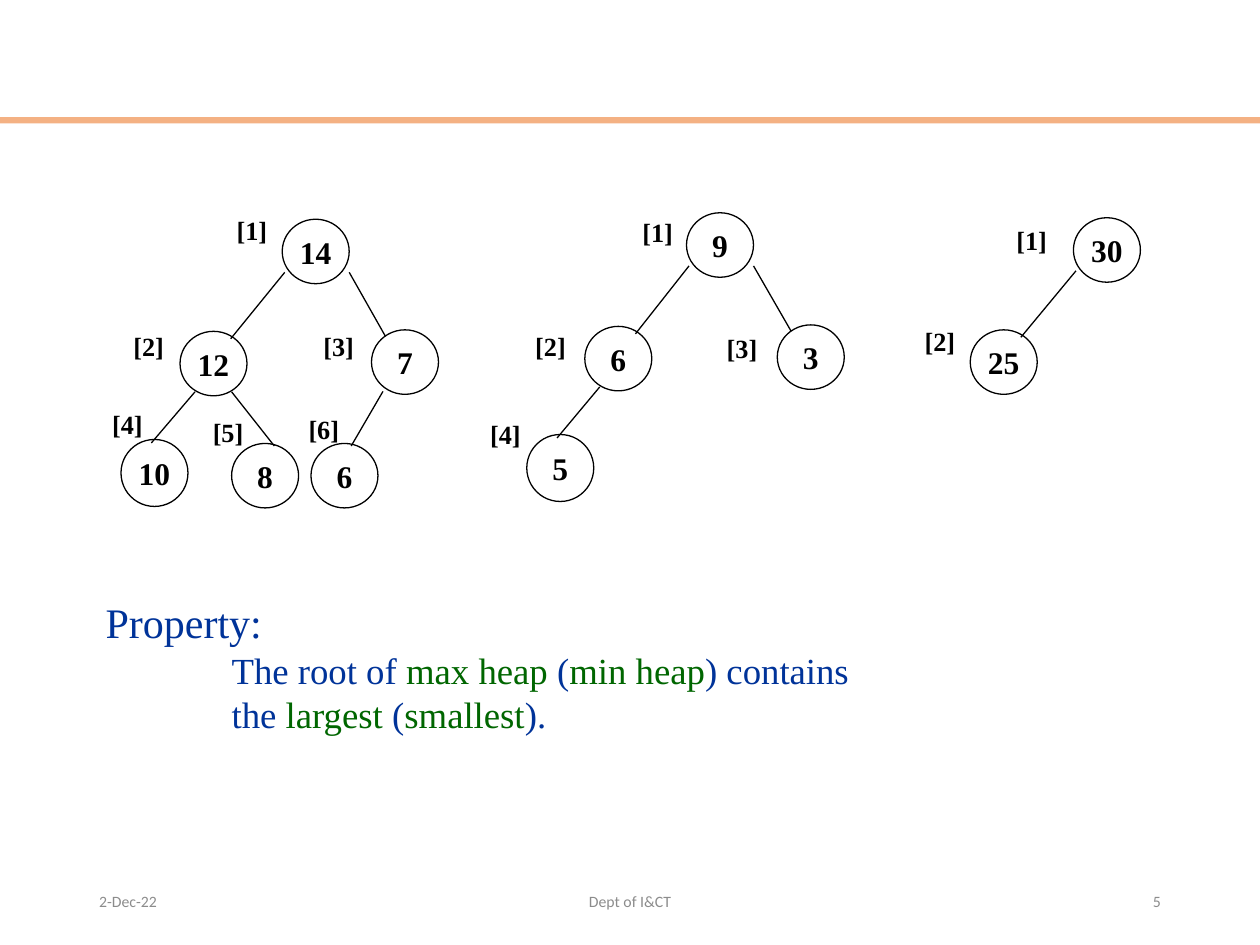
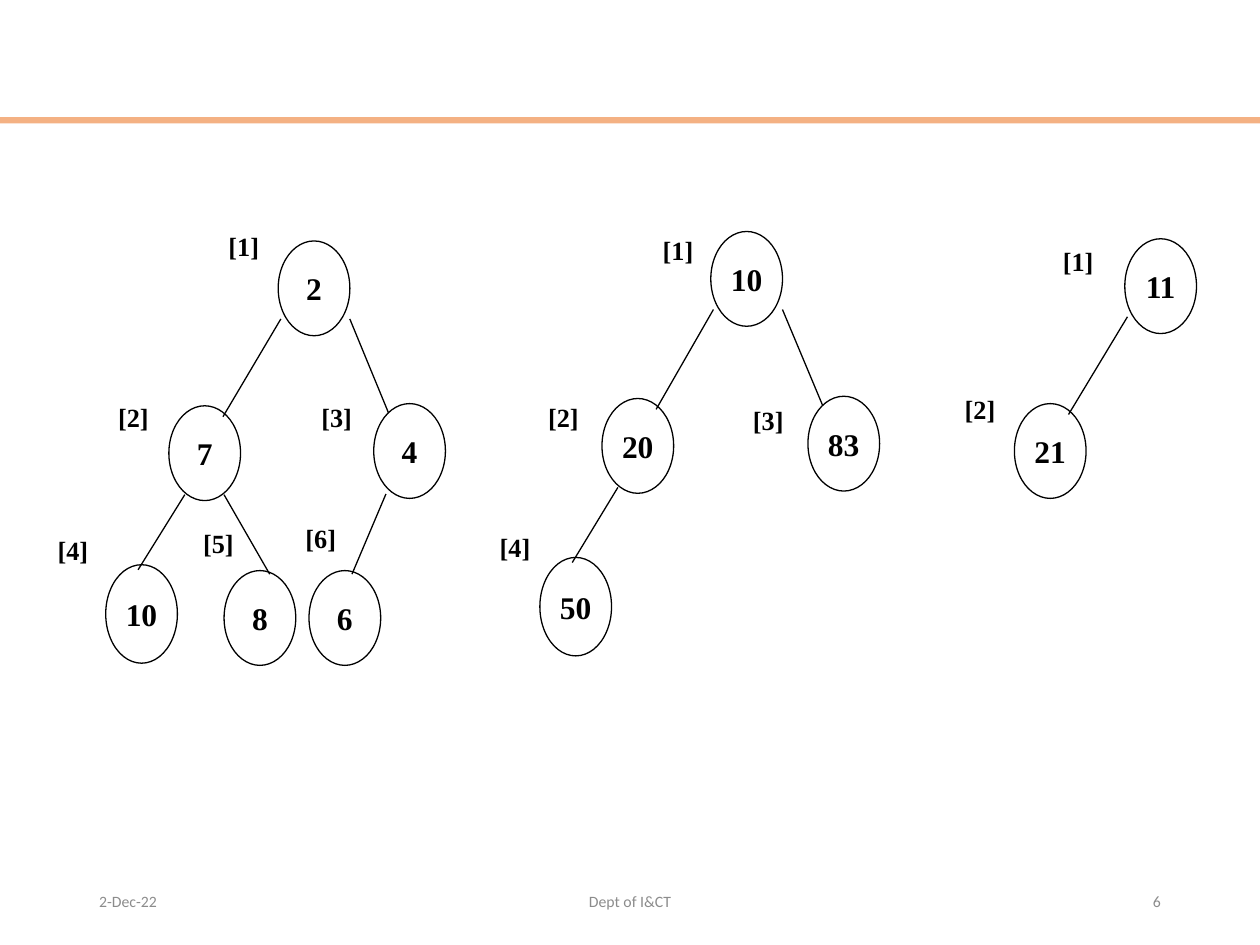
from dataclasses import dataclass
from typing import NamedTuple, Optional

from lxml.etree import SubElement
from pptx import Presentation
from pptx.dml.color import RGBColor as Rgb
from pptx.enum.shapes import MSO_CONNECTOR as Wire, MSO_SHAPE as Kind
from pptx.enum.text import MSO_ANCHOR as Anchor, PP_ALIGN as Align
from pptx.oxml.ns import qn
from pptx.util import Cm, Pt


# Colours, fonts and sizes
@dataclass(frozen=True)
class Theme:
    band: str = "F4B183"
    ink: str = "000000"
    blue: str = "003399"
    green: str = "006600"
    grey: str = "8C8C8C"
    serif: str = "Times New Roman"
    sans: str = "Calibri"
    head: float = 24
    body: float = 21
    key: float = 18
    tag: float = 15
    foot: float = 9
    line: float = 0.75


THEME = Theme()


# Edge ends in cm, measured from the corners of the parent and child nodes
class Link(NamedTuple):
    start: tuple[float, float]
    end: tuple[float, float]


LEFT = Link((0.05, 1.07), (1.02, 0.15))
RIGHT = Link((1.35, 1.07), (0.28, 0.13))
LOW_LEFT = Link((0.3, 1.22), (0.61, 0.07))
LOW_RIGHT = Link((1.04, 1.22), (0.86, 0.05))
INNER = Link((0.23, 1.24), (0.81, 0.05))


# A heap node and the label with its array index, on the base grid in cm
class Node(NamedTuple):
    x: float
    y: float
    index: int
    tag_x: float
    tag_y: float
    link: Optional[Link] = None
    high: float = 1.3


NODE_W = 1.35
TAG_W, TAG_H = 1.55, 1.14
HEAPS = (
    (
        Node(5.69, 4.42, 1, 4.52, 4.19),
        Node(3.63, 6.68, 2, 2.44, 6.53, LEFT),
        Node(7.49, 6.65, 3, 6.27, 6.53, RIGHT),
        Node(2.44, 8.86, 4, 2.01, 8.1, LOW_LEFT, 1.35),
        Node(4.67, 8.94, 5, 4.04, 8.26, LOW_RIGHT),
        Node(6.27, 8.94, 6, 5.97, 8.2, INNER),
    ),
    (
        Node(13.84, 4.29, 1, 12.7, 4.24),
        Node(11.79, 6.58, 2, 10.54, 6.53, LEFT),
        Node(15.67, 6.55, 3, 14.4, 6.58, RIGHT),
        Node(10.62, 8.76, 4, 9.63, 8.31, LOW_LEFT, 1.35),
    ),
    (
        Node(21.64, 4.39, 1, 20.24, 4.39),
        Node(19.56, 6.65, 2, 18.39, 6.43, LEFT),
    ),
)


# One slide: its keys, and how the base grid is stretched and moved
@dataclass(frozen=True)
class View:
    page: int
    keys: tuple[tuple[int, ...], ...]
    zoom: tuple[float, float] = (1, 1)
    move: tuple[float, float] = (0, 0)
    low_tag: Optional[tuple[float, float]] = None  # place of the first heap's [4]

    def size(self, w: float, h: float) -> tuple[Cm, Cm]:
        return Cm(w * self.zoom[0]), Cm(h * self.zoom[1])

    def spot(self, x: float, y: float) -> tuple[Cm, Cm]:
        return (Cm(x * self.zoom[0] + self.move[0]),
                Cm(y * self.zoom[1] + self.move[1]))


VIEWS = (
    View(5, ((14, 12, 7, 10, 8, 6), (9, 6, 3, 5), (30, 25))),
    View(6, ((2, 7, 4, 10, 8, 6), (10, 20, 83, 50), (11, 21)),
         (1.07, 1.47), (-0.48, -1.64), (0.91, 10.64)),
)


class Foot(NamedTuple):
    x: float
    w: float
    text: str
    align: Align


def write(para, text: str, *, size: float, color: str = THEME.ink,
          font: str = THEME.serif, bold: bool = False,
          align: Optional[Align] = None) -> None:
    run = para.add_run()
    run.text = text
    run.font.name = font
    run.font.size = Pt(size)
    run.font.bold = bold
    run.font.color.rgb = Rgb.from_string(color)
    if align is not None:
        para.alignment = align


def frame(slide, x: int, y: int, w: int, h: int, *, wrap: bool = True):
    text = slide.shapes.add_textbox(x, y, w, h).text_frame
    text.word_wrap = wrap
    return text


def draw_base(slide, page: int) -> None:
    # Band
    band = slide.shapes.add_shape(Kind.RECTANGLE, 0, Cm(2.36), Cm(25.4), Cm(0.13))
    band.shadow.inherit = False
    band.fill.solid()
    band.fill.fore_color.rgb = Rgb.from_string(THEME.band)
    band.line.fill.background()
    # Footer
    for foot in (Foot(1.75, 5.72, "2-Dec-22", Align.LEFT),
                 Foot(8.41, 8.58, "Dept of I&CT", Align.CENTER),
                 Foot(17.93, 5.72, str(page), Align.RIGHT)):
        text = frame(slide, Cm(foot.x), Cm(17.65), Cm(foot.w), Cm(1.02))
        text.vertical_anchor = Anchor.MIDDLE
        write(text.paragraphs[0], foot.text, size=THEME.foot, color=THEME.grey,
              font=THEME.sans, align=foot.align)


def draw_node(slide, view: View, node: Node, key: int) -> None:
    oval = slide.shapes.add_shape(Kind.OVAL, *view.spot(node.x, node.y),
                                  *view.size(NODE_W, node.high))
    oval.shadow.inherit = False
    oval.fill.background()
    oval.line.color.rgb = Rgb.from_string(THEME.ink)
    oval.line.width = Pt(THEME.line)
    text = oval.text_frame
    text.word_wrap = False
    text.vertical_anchor = Anchor.MIDDLE
    write(text.paragraphs[0], str(key), size=THEME.key, bold=True,
          align=Align.CENTER)


def draw_edge(slide, view: View, top: Node, node: Node) -> None:
    (ax, ay), (bx, by) = node.link
    edge = slide.shapes.add_connector(
        Wire.STRAIGHT, *view.spot(top.x + ax, top.y + ay),
        *view.spot(node.x + bx, node.y + by))
    edge.line.color.rgb = Rgb.from_string(THEME.ink)
    edge.line.width = Pt(THEME.line)
    SubElement(edge.element.spPr, qn("a:effectLst"))


def draw_tag(slide, view: View, node: Node, low: bool) -> None:
    if low and view.low_tag:
        x, y = map(Cm, view.low_tag)
    else:
        x, y = view.spot(node.tag_x, node.tag_y)
    text = frame(slide, x, y, *view.size(TAG_W, TAG_H), wrap=False)
    write(text.paragraphs[0], f"[{node.index}]", size=THEME.tag, bold=True)


def draw_heaps(slide, view: View) -> None:
    for heap, keys in zip(HEAPS, view.keys):
        for node, key in zip(heap, keys):
            draw_node(slide, view, node, key)
            if node.link:
                # The parent of index i sits at index i // 2
                draw_edge(slide, view, heap[node.index // 2 - 1], node)
            draw_tag(slide, view, node, heap is HEAPS[0] and node.index == 4)


def draw_rule(slide) -> None:
    text = frame(slide, Cm(1.88), Cm(11.91), Cm(20.24), Cm(3.07))
    write(text.paragraphs[0], "Property:", size=THEME.head, color=THEME.blue)
    # Blue and green pieces alternate
    for parts in (("The root of ", "max heap", " (", "min heap", ") contains"),
                  ("the ", "largest", " (", "smallest", ").")):
        para = text.add_paragraph()
        para._p.get_or_add_pPr().set("marL", str(Cm(2.54)))
        for i, part in enumerate(parts):
            write(para, part, size=THEME.body,
                  color=THEME.green if i % 2 else THEME.blue)


def main() -> None:
    deck = Presentation()
    deck.slide_width, deck.slide_height = Cm(25.4), Cm(19.05)
    blank = deck.slide_layouts[6]
    for view in VIEWS:
        slide = deck.slides.add_slide(blank)
        draw_base(slide, view.page)
        draw_heaps(slide, view)
    draw_rule(deck.slides[0])
    deck.save("out.pptx")


if __name__ == "__main__":
    main()
